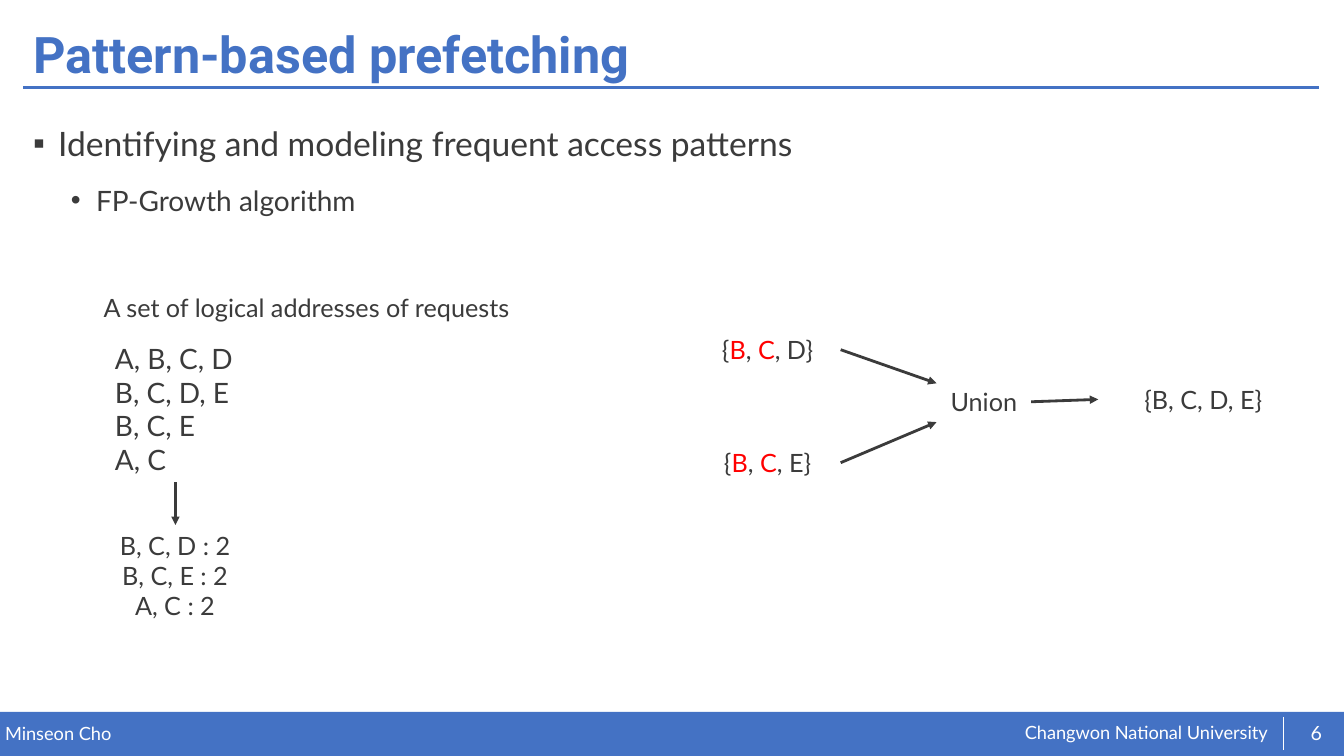
import pptx
import pptx.util
import pptx.dml.color
import pptx.enum.shapes
import pptx.enum.text
import pptx.oxml.ns
from lxml import etree

Pt = pptx.util.Pt
BLUE = pptx.dml.color.RGBColor(0x44, 0x72, 0xC4)
DARK = pptx.dml.color.RGBColor(0x3B, 0x3B, 0x3B)
RED = pptx.dml.color.RGBColor(0xFF, 0x00, 0x00)
WHITE = pptx.dml.color.RGBColor(0xFF, 0xFF, 0xFF)
LEFT = pptx.enum.text.PP_ALIGN.LEFT
CENTER = pptx.enum.text.PP_ALIGN.CENTER
TOP = pptx.enum.text.MSO_ANCHOR.TOP
MIDDLE = pptx.enum.text.MSO_ANCHOR.MIDDLE
qn = pptx.oxml.ns.qn

presentation = pptx.Presentation()
presentation.slide_width, presentation.slide_height = Pt(960), Pt(540)
slide = presentation.slides.add_slide(presentation.slide_layouts[5])


def write(shape, lines, size, color=DARK, align=LEFT, anchor=TOP, inset=True, font="Lato", bold=False):
    """Fill a shape with lines; pieces between asterisks turn red."""
    frame = shape.text_frame
    margins = (7.2, 3.6) if inset else (0, 0)
    frame_format = {
        "word_wrap": True, "auto_size": pptx.enum.text.MSO_AUTO_SIZE.NONE, "vertical_anchor": anchor,
        "margin_left": Pt(margins[0]), "margin_right": Pt(margins[0]),
        "margin_top": Pt(margins[1]), "margin_bottom": Pt(margins[1]),
    }
    for name, value in frame_format.items():
        setattr(frame, name, value)
    for index, line in enumerate(lines):
        paragraph = frame.add_paragraph() if index else frame.paragraphs[0]
        paragraph.alignment = align
        for position, piece in enumerate(line.split("*")):
            run = paragraph.add_run()
            run.text = piece
            for name, value in {"name": font, "size": Pt(size), "bold": bold}.items():
                setattr(run.font, name, value)
            run.font.color.rgb = RED if position % 2 else color
    return frame


def connect(start, end, color, width, arrow=False):
    connector = slide.shapes.add_connector(
        pptx.enum.shapes.MSO_CONNECTOR.STRAIGHT, *[Pt(value) for value in start + end])
    connector.line.color.rgb = color
    connector.line.width = Pt(width)
    if arrow:
        line = connector.line._get_or_add_ln()
        etree.SubElement(line, qn("a:tailEnd"), type="triangle")
    etree.SubElement(connector._element.spPr, qn("a:effectLst"))


# Footer band and header rule
band = slide.shapes.add_shape(
    pptx.enum.shapes.MSO_SHAPE.RECTANGLE, Pt(0), Pt(508.5), Pt(960), Pt(31.5))
band.shadow.inherit = False
band.fill.solid()
band.fill.fore_color.rgb = BLUE
band.line.fill.background()
connect((16.5, 62.5), (942, 62.5), BLUE, 2)
connect((916.5, 512), (916.5, 535.5), WHITE, 0.5)

# Title
title = slide.shapes.title
title_box = {"left": 16.5, "top": 13, "width": 926, "height": 55.5}
for name, value in title_box.items():
    setattr(title, name, Pt(value))
title_frame = write(title, ["Pattern-based prefetching"], 36, BLUE, anchor=MIDDLE, font="Roboto", bold=True)
title_frame.paragraphs[0].line_spacing = 0.9

# Text boxes: left, top, width, height, lines, format
footer = {"color": WHITE, "inset": False}
centered = {"align": CENTER}
text_boxes = [
    (732, 515.5, 192, 16.5, ["Changwon National University"], {"size": 13, **footer}),
    (3.6, 516.2, 472, 16, ["Minseon Cho"], {"size": 13, **footer}),
    (923, 509, 34.5, 29, ["6"], {"size": 14, "anchor": MIDDLE, **footer, **centered}),
    (67, 205.2, 312, 30, ["A set of logical addresses of requests"], {"size": 18}),
    (75, 240.5, 100, 104, ["A, B, C, D", "B, C, D, E", "B, C, E", "A, C"], {"size": 20}),
    (75, 375, 100, 73, ["B, C, D : 2", "B, C, E : 2", "A, C : 2"], {"size": 18, **centered}),
    (496, 235.4, 104.5, 29, ["{*B*, *C*, D}"], {"size": 18, **centered}),
    (496, 316, 104.5, 29, ["{*B*, *C*, E}"], {"size": 18, **centered}),
    (669, 272.2, 67.5, 29, ["Union"], {"size": 18, **centered}),
    (784.5, 270.7, 150, 29, ["{B, C, D, E}"], {"size": 18, **centered}),
]
for left, top, width, height, lines, text_format in text_boxes:
    write(slide.shapes.add_textbox(Pt(left), Pt(top), Pt(width), Pt(height)), lines, **text_format)

# Bulleted outline: text, size, bullet, indent, space before
outline = [
    ("Identifying and modeling frequent access patterns", 24, "▪", 18, 10),
    ("FP-Growth algorithm", 20, "•", 45, 5),
]
body = slide.shapes.add_textbox(Pt(16.5), Pt(72.7), Pt(926), Pt(405))
body_frame = write(body, [row[0] for row in outline], 24)
for paragraph, (text, size, bullet, indent, space) in zip(body_frame.paragraphs, outline):
    paragraph.runs[0].font.size = Pt(size)
    paragraph.line_spacing = 1.4
    paragraph.space_before = Pt(space)
    properties = paragraph._p.get_or_add_pPr()
    properties.set("marL", str(Pt(indent)))
    properties.set("indent", str(-Pt(18)))
    etree.SubElement(properties, qn("a:buFont"), typeface="Arial")
    etree.SubElement(properties, qn("a:buChar"), char=bullet)

# Arrows of the pattern flow
arrows = [
    ((125.3, 344.5), (125.3, 375)),
    ((600.5, 249.8), (669, 273.8)),
    ((600.5, 330.5), (669, 301.5)),
    ((736.5, 287), (784.5, 285.3)),
]
for start, end in arrows:
    connect(start, end, DARK, 2, arrow=True)

presentation.save("out.pptx")
